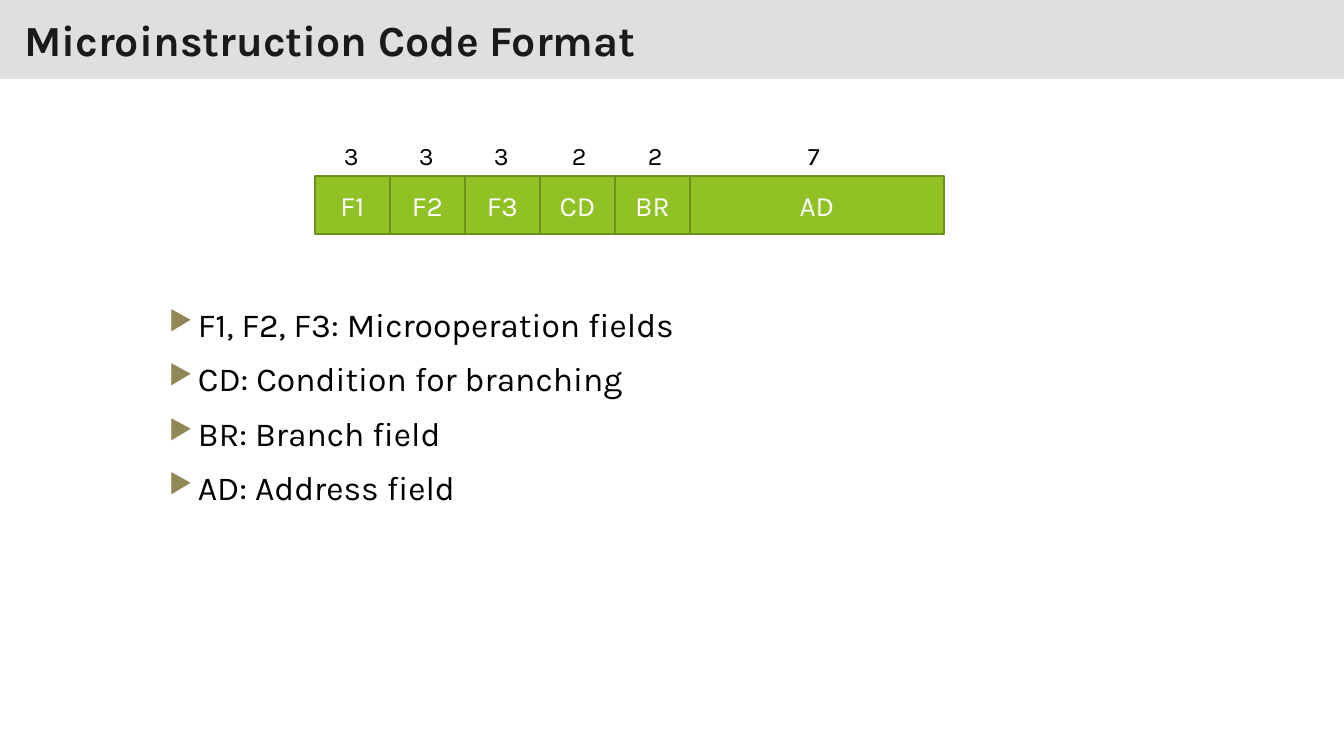
"""Builds the slide on the microinstruction code format."""

from dataclasses import dataclass
from itertools import accumulate

from lxml import etree
from pptx import Presentation
from pptx.dml.color import RGBColor
from pptx.enum.shapes import MSO_SHAPE
from pptx.enum.text import MSO_ANCHOR, PP_ALIGN
from pptx.oxml.ns import qn
from pptx.shapes.autoshape import Shape
from pptx.slide import Slide
from pptx.text.text import TextFrame
from pptx.util import Emu, Pt

RECTANGLE = MSO_SHAPE.RECTANGLE
TOP, MIDDLE = MSO_ANCHOR.TOP, MSO_ANCHOR.MIDDLE
LEFT, CENTER, JUSTIFY = PP_ALIGN.LEFT, PP_ALIGN.CENTER, PP_ALIGN.JUSTIFY
EMU_PER_PX = 914400 / 100.8


@dataclass(frozen=True)
class Theme:
    """Colours, font and type sizes of the slide."""

    font: str = "Karla"
    title: str = "1A1A1A"
    band: str = "C0C0C0"
    text: str = "000000"
    field_text: str = "FFFFFF"
    field_fill: str = "90C226"
    field_line: str = "6B901C"
    bullet: str = "918655"
    band_opacity: int = 50
    bullet_percent: int = 80
    title_size: float = 30.6
    body_size: float = 24
    field_size: float = 20
    bits_size: float = 18
    line_width: float = 1.5
    paragraph_gap: float = 10


@dataclass(frozen=True)
class Box:
    """A rectangle in px."""

    left: int
    top: int
    width: int
    height: int


@dataclass(frozen=True)
class Field:
    """One field of the instruction word, with its bit count and label place."""

    name: str
    bits: int
    label_left: int
    width: int = 75


THEME = Theme()
SLIDE_WIDTH, SLIDE_HEIGHT = 1344, 756
TITLE_BOX = Box(0, 0, SLIDE_WIDTH, 79)
TITLE_MARGIN_X, TITLE_MARGIN_Y = 24, 12
MEANINGS_BOX = Box(159, 299, 966, 229)
BULLET_INDENT = 29
WORD_LEFT, WORD_TOP, WORD_HEIGHT = 315, 176, 58
BITS_TOP, BITS_WIDTH, BITS_HEIGHT = 135, 38, 40

FIELDS = (
    Field("F1", 3, 334),
    Field("F2", 3, 409),
    Field("F3", 3, 484),
    Field("CD", 2, 562),
    Field("BR", 2, 638),
    Field("AD", 7, 798, 254),
)
MEANINGS = (
    "F1, F2, F3: Microoperation fields",
    "CD: Condition for branching",
    "BR: Branch field",
    "AD: Address field",
)


def px(length: int) -> Emu:
    """Turn px into EMU."""
    return Emu(round(length * EMU_PER_PX))


def place(box: Box) -> tuple[Emu, Emu, Emu, Emu]:
    """Give the position and size of a box in EMU."""
    return px(box.left), px(box.top), px(box.width), px(box.height)


def write(frame: TextFrame, text: str, size: float, color: str,
          align: PP_ALIGN = LEFT, anchor: MSO_ANCHOR = TOP, bold: bool = False) -> None:
    """Fill a text frame and format all its paragraphs alike."""
    frame.text = text
    frame.word_wrap = True
    frame.vertical_anchor = anchor
    for paragraph in frame.paragraphs:
        paragraph.alignment = align
        for run in paragraph.runs:
            run.font.name = THEME.font
            run.font.size = Pt(size)
            run.font.bold = bold
            run.font.color.rgb = RGBColor.from_string(color)


def add_rectangle(slide: Slide, box: Box, fill: str) -> Shape:
    """Add a flat filled rectangle."""
    rectangle = slide.shapes.add_shape(RECTANGLE, *place(box))
    rectangle.shadow.inherit = False
    rectangle.fill.solid()
    rectangle.fill.fore_color.rgb = RGBColor.from_string(fill)
    return rectangle


def add_title(slide: Slide) -> None:
    """Add the translucent title band."""
    band = add_rectangle(slide, TITLE_BOX, THEME.band)
    band.line.fill.background()
    color = band.element.spPr.find(f"{qn('a:solidFill')}/{qn('a:srgbClr')}")
    etree.SubElement(color, qn("a:alpha"), val=str(THEME.band_opacity * 1000))
    frame = band.text_frame
    frame.margin_left = frame.margin_right = px(TITLE_MARGIN_X)
    frame.margin_top = frame.margin_bottom = px(TITLE_MARGIN_Y)
    write(frame, "Microinstruction Code Format", THEME.title_size, THEME.title,
          anchor=MIDDLE, bold=True)


def add_field(slide: Slide, field: Field, left: int) -> None:
    """Add one field of the word and the bit count above it."""
    cell = add_rectangle(slide, Box(left, WORD_TOP, field.width, WORD_HEIGHT),
                         THEME.field_fill)
    cell.line.color.rgb = RGBColor.from_string(THEME.field_line)
    cell.line.width = Pt(THEME.line_width)
    write(cell.text_frame, field.name, THEME.field_size, THEME.field_text, CENTER, MIDDLE)
    bits = slide.shapes.add_textbox(
        *place(Box(field.label_left, BITS_TOP, BITS_WIDTH, BITS_HEIGHT)))
    write(bits.text_frame, str(field.bits), THEME.bits_size, THEME.text)


def add_meanings(slide: Slide) -> None:
    """Add the bulleted list that explains the fields."""
    frame = slide.shapes.add_textbox(*place(MEANINGS_BOX)).text_frame
    write(frame, "\n".join(MEANINGS), THEME.body_size, THEME.text, JUSTIFY)
    for index, paragraph in enumerate(frame.paragraphs):
        paragraph.space_before = Pt(THEME.paragraph_gap if index else 0)
        properties = paragraph._p.get_or_add_pPr()
        properties.set("marL", str(px(BULLET_INDENT)))
        properties.set("indent", str(-px(BULLET_INDENT)))
        color = etree.SubElement(properties, qn("a:buClr"))
        etree.SubElement(color, qn("a:srgbClr"), val=THEME.bullet)
        etree.SubElement(properties, qn("a:buSzPct"), val=str(THEME.bullet_percent * 1000))
        etree.SubElement(properties, qn("a:buChar"), char="▶")


def main() -> None:
    """Build and save the slide."""
    deck = Presentation()
    deck.slide_width, deck.slide_height = px(SLIDE_WIDTH), px(SLIDE_HEIGHT)
    slide = deck.slides.add_slide(deck.slide_layouts[6])
    add_title(slide)
    add_meanings(slide)
    field_lefts = accumulate((field.width for field in FIELDS), initial=WORD_LEFT)
    for field, left in zip(FIELDS, field_lefts):
        add_field(slide, field, left)
    deck.save("out.pptx")


if __name__ == "__main__":
    main()
